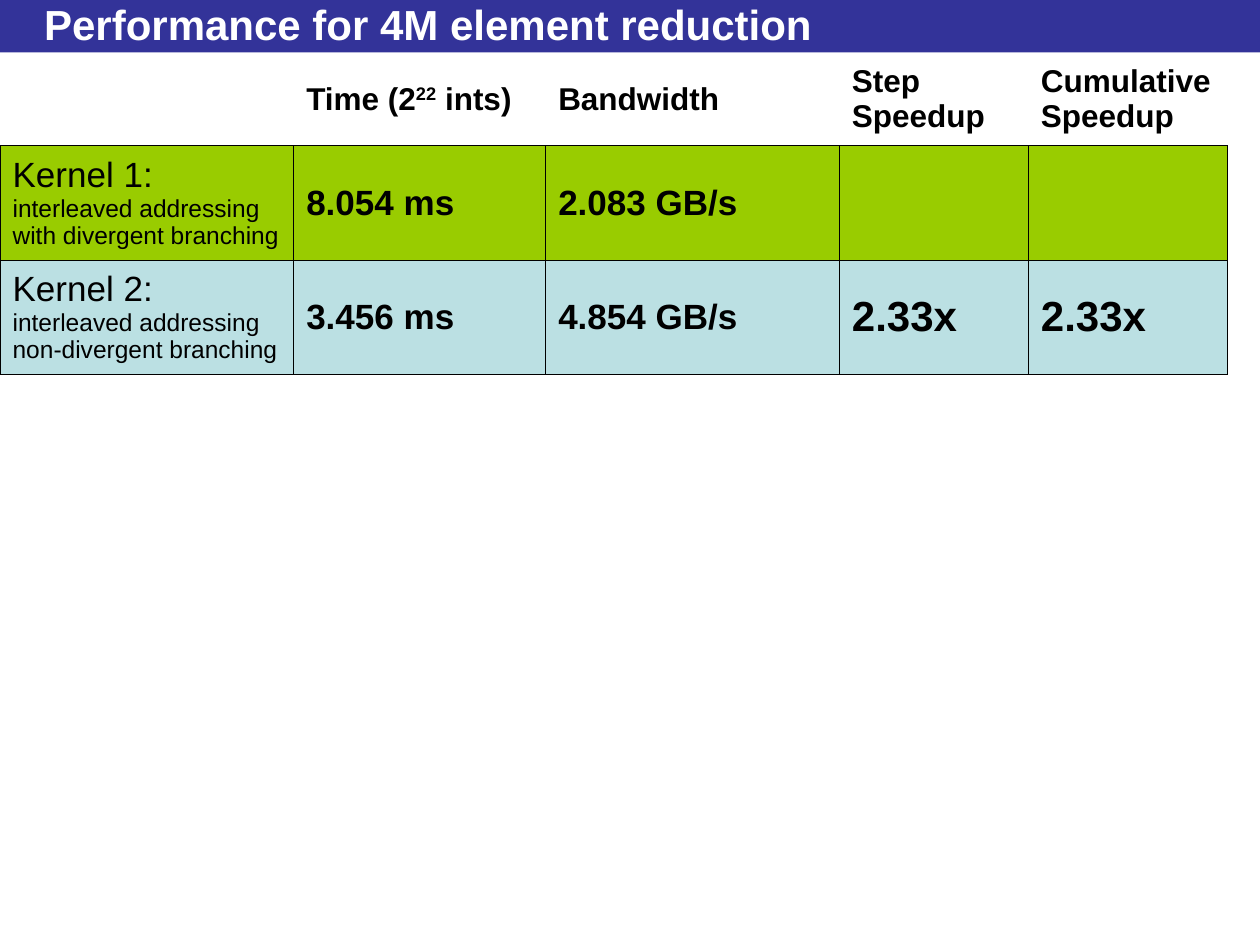
"""Build a slide with a table of reduction kernel performance."""
from copy import deepcopy

from pptx import Presentation
from pptx import util as u
from pptx.dml import color
from pptx.enum import shapes, text
from pptx.oxml import ns
from lxml import etree

FONT = "Arial"
BLACK, WHITE, NAVY = "000000", "FFFFFF", "333399"
GREEN, PALE_BLUE = "99CC00", "BBE0E3"
COLUMN_WIDTHS = [5.92, 5.08, 5.92, 3.81, 4.01]
ROW_HEIGHTS = [1.88, 2.3, 2.3]
HEADINGS = [
    [],
    [("Time (2", 18, True), ("22", 18, True), (" ints)", 18, True)],
    [("Bandwidth", 18, True)],
    [("Step Speedup", 18, True)],
    [("Cumulative Speedup", 18, True)],
]
KERNELS = [
    (GREEN, "Kernel 1:", "interleaved addressing", "with divergent branching",
     "8.054 ms", "2.083 GB/s", "", ""),
    (PALE_BLUE, "Kernel 2:", "interleaved addressing", "non-divergent branching",
     "3.456 ms", "4.854 GB/s", "2.33x", "2.33x"),
]


def rgb(value):
    return color.RGBColor.from_string(value)


def format_span(span, size, bold, shade=BLACK):
    span.font.name = FONT
    span.font.size = u.Pt(size)
    span.font.bold = bold
    span.font.color.rgb = rgb(shade)


def add_band(page, width, height):
    band = page.shapes.add_shape(shapes.MSO_SHAPE.RECTANGLE, 0, 0, width, height)
    band.shadow.inherit = False
    band.fill.solid()
    band.fill.fore_color.rgb = rgb(NAVY)
    band.line.fill.background()


def add_title(page, title):
    box = page.shapes.add_textbox(u.Cm(0.64), u.Cm(0.13), u.Cm(23.5), u.Cm(0.71))
    frame = box.text_frame
    frame.word_wrap = True
    frame.vertical_anchor = text.MSO_ANCHOR.MIDDLE
    frame.text = title
    format_span(frame.paragraphs[0].runs[0], 24, True, WHITE)


def set_borders(cell, drawn_sides):
    properties = cell._tc.get_or_add_tcPr()
    for side in "LRTB":
        line = etree.SubElement(properties, ns.qn(f"a:ln{side}"), w=str(u.Pt(0.45)))
        if side in drawn_sides:
            fill = etree.SubElement(line, ns.qn("a:solidFill"))
            etree.SubElement(fill, ns.qn("a:srgbClr"), val=BLACK)
        else:
            etree.SubElement(line, ns.qn("a:noFill"))


def fill_cell(cell, spans, shade=None):
    cell.vertical_anchor = text.MSO_ANCHOR.MIDDLE
    set_borders(cell, "LRTB" if shade else "B")
    if shade:
        cell.fill.solid()
        cell.fill.fore_color.rgb = rgb(shade)
    else:
        cell.fill.background()
    para = cell.text_frame.paragraphs[0]
    for words, size, bold in spans:
        span = para.add_run()
        span.text = words
        format_span(span, size, bold)


def fill_kernel_name(cell, lines, shade):
    fill_cell(cell, [], shade)
    para = cell.text_frame.paragraphs[0]
    para.text = "\v".join(lines)
    for span, size in zip(para.runs, [20, 14, 14]):
        format_span(span, size, False)
    for line_break in para._p.findall(ns.qn("a:br")):
        line_break.append(deepcopy(line_break.getprevious().rPr))


def add_performance_table(page, top):
    frame = page.shapes.add_table(
        len(ROW_HEIGHTS), len(COLUMN_WIDTHS), 0, top,
        u.Cm(sum(COLUMN_WIDTHS)), u.Cm(sum(ROW_HEIGHTS)))
    table = frame.table
    table.first_row = table.horz_banding = False
    for column, width in zip(table.columns, COLUMN_WIDTHS):
        column.width = u.Cm(width)
    for row, height in zip(table.rows, ROW_HEIGHTS):
        row.height = u.Cm(height)
    for column, spans in enumerate(HEADINGS):
        fill_cell(table.cell(0, column), spans)
    exponent = table.cell(0, 1).text_frame.paragraphs[0].runs[1]
    exponent.font._element.set("baseline", "30000")
    for row, (shade, *entries) in enumerate(KERNELS, 1):
        fill_kernel_name(table.cell(row, 0), entries[:3], shade)
        for column, (words, size) in enumerate(zip(entries[3:], [20, 20, 24, 24]), 1):
            spans = [(words, size, True)] if words else []
            fill_cell(table.cell(row, column), spans, shade)


def main():
    deck = Presentation()
    deck.slide_width, deck.slide_height = u.Cm(25.4), u.Cm(19.05)
    page = deck.slides.add_slide(deck.slide_layouts[6])
    band_height = u.Cm(1.06)
    add_band(page, deck.slide_width, band_height)
    add_title(page, "Performance for 4M element reduction")
    add_performance_table(page, band_height)
    deck.save("out.pptx")


if __name__ == "__main__":
    main()
